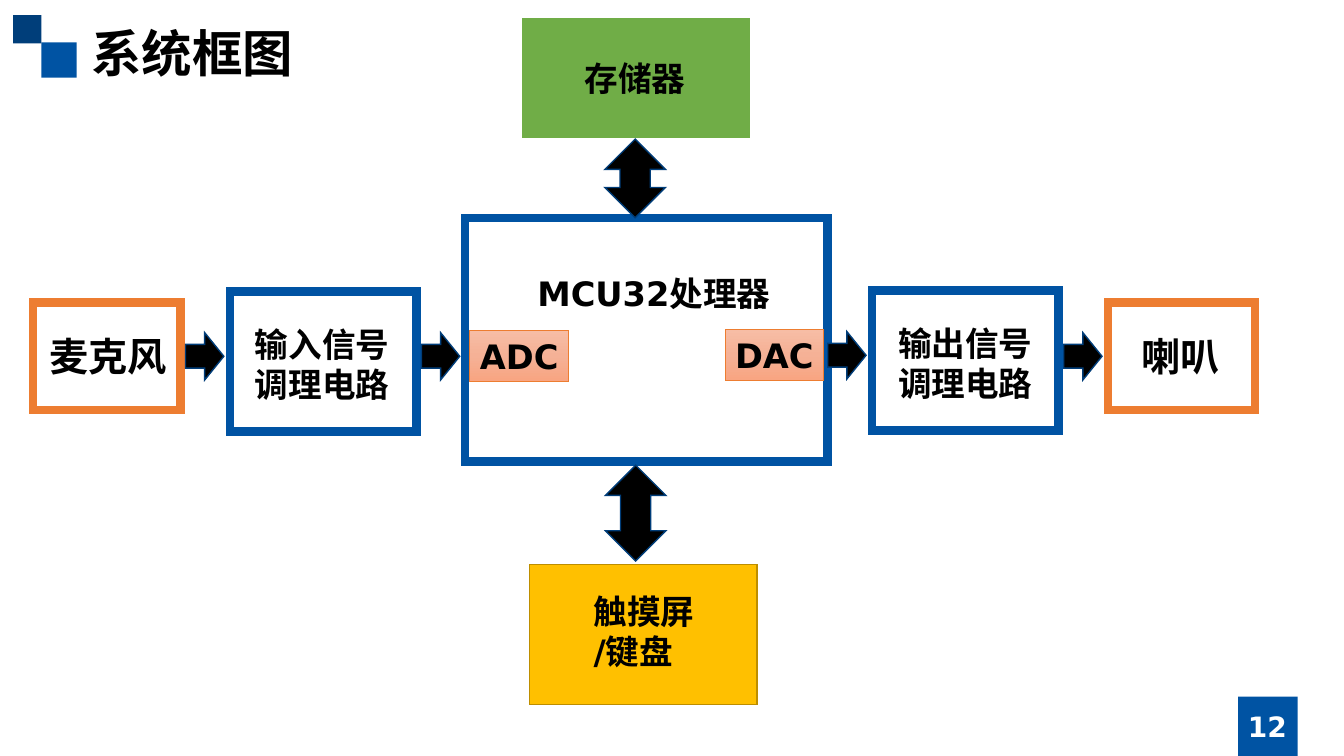
from copy import deepcopy

from lxml import etree
from pptx import Presentation
from pptx.dml.color import RGBColor
from pptx.enum.shapes import MSO_SHAPE
from pptx.enum.text import MSO_ANCHOR, PP_ALIGN
from pptx.oxml.ns import qn
from pptx.util import Inches, Pt

RECT = MSO_SHAPE.RECTANGLE
RIGHT = MSO_SHAPE.RIGHT_ARROW
DOUBLE = MSO_SHAPE.LEFT_RIGHT_ARROW
LEFT, CENTER = PP_ALIGN.LEFT, PP_ALIGN.CENTER
MIDDLE = MSO_ANCHOR.MIDDLE
LATIN, HAN = "DejaVu Sans", "Noto Sans CJK SC"
BLUE, NAVY, EDGE = "0053A3", "003E7A", "003D79"
ORANGE, BLACK, WHITE = "ED7D31", "000000", "FFFFFF"
PEACH = ["F7BDA5", "F5B196", "F8A582"]

deck = Presentation()
deck.slide_width, deck.slide_height = Inches(13.33), Inches(7.5)
slide = deck.slides.add_slide(deck.slide_layouts[6])
color = RGBColor.from_string


def draw(kind, spot, fill, line=None, width=1):
    shape = slide.shapes.add_shape(kind, *map(Inches, spot))
    shape.shadow.inherit = False
    shape.fill.solid()
    shape.fill.fore_color.rgb = color(fill)
    if line:
        shape.line.color.rgb = color(line)
        shape.line.width = Pt(width)
        # Square corners
        edge = shape.line._get_or_add_ln()
        etree.SubElement(edge, qn("a:miter")).set("lim", "800000")
    else:
        shape.line.fill.background()
    return shape


def write(shape, text, size=24, align=LEFT, ink=BLACK, font=LATIN, wrap=False):
    frame = shape.text_frame
    frame.word_wrap = wrap
    frame.text = text
    for para in frame.paragraphs:
        para.alignment = align
        for run in para.runs:
            run.font.size = Pt(size)
            run.font.bold = True
            run.font.name = font
            run.font.color.rgb = color(ink)
            east = etree.SubElement(run.font._element, qn("a:ea"))
            east.set("typeface", HAN)
    return frame


# Corner squares and page number block
draw(RECT, (0.41, 0.42, 0.35, 0.35), BLUE)
draw(RECT, (0.13, 0.15, 0.28, 0.28), NAVY)
draw(RECT, (12.28, 6.91, 0.59, 0.59), BLUE)

# Blocks: place, fill, line, line width
blocks = [
    ((0.33, 3, 1.46, 1.07), WHITE, ORANGE, 6),
    ((2.28, 2.89, 1.85, 1.39), WHITE, BLUE, 6),
    ((4.61, 2.16, 3.6, 2.42), WHITE, BLUE, 6),
    ((8.65, 2.88, 1.85, 1.39), WHITE, BLUE, 6),
    ((10.99, 3, 1.46, 1.07), WHITE, ORANGE, 6),
    ((5.17, 0.17, 2.28, 1.21), "70AD47", WHITE, 1.5),
    ((5.25, 5.6, 2.26, 1.39), "FFC000", "BD8E00", 1),
]
for block in blocks:
    draw(RECT, *block)

# Converters inside the processor
for name, left, top in [("ADC", 4.66, 3.28), ("DAC", 7.19, 3.27)]:
    chip = draw(RECT, (left, top, 0.98, 0.5), WHITE, ORANGE, 0.5)
    chip.fill.gradient()
    chip.fill.gradient_angle = 270
    first = chip.fill._xPr.find(".//" + qn("a:gs"))
    first.addnext(deepcopy(first))
    for i, stop in enumerate(chip.fill.gradient_stops):
        stop.position = i / 2
        stop.color.rgb = color(PEACH[i])
    write(chip, name, align=CENTER)

# Signal arrows from left to right
for left, top in [(1.84, 3.3), (4.18, 3.3), (8.21, 3.29), (10.55, 3.3)]:
    draw(RIGHT, (left, top, 0.38, 0.47), BLACK, EDGE)

# Two-way arrows above and below the processor
for spot in [(5.91, 1.47, 0.78, 0.6), (5.83, 4.79, 0.95, 0.6)]:
    draw(DOUBLE, spot, BLACK, EDGE).rotation = 270

# Labels: text, place, format
labels = [
    ("系统框图", (0.81, 0.17, 5.91, 0.71), dict(size=36, font=HAN, wrap=True)),
    ("麦克风", (0.39, 3.25, 1.37, 0.57), dict(size=28)),
    ("输入信号\n调理电路", (2.43, 3.16, 1.53, 0.91), {}),
    ("MCU32处理器", (5.08, 2.66, 2.81, 0.5), dict(align=CENTER, wrap=True)),
    ("输出信号\n调理电路", (8.81, 3.15, 1.53, 0.91), {}),
    ("喇叭", (11.22, 3.25, 0.98, 0.57), dict(size=28)),
    ("存储器", (5.7, 0.53, 1.21, 0.5), dict(wrap=True)),
    ("触摸屏\n/键盘", (5.79, 5.81, 1.2, 0.91), {}),
]
for text, spot, style in labels:
    write(slide.shapes.add_textbox(*map(Inches, spot)), text, **style)

# Page number
page = slide.shapes.add_textbox(*map(Inches, (11.81, 7.01, 1.52, 0.4)))
frame = write(page, "12", 20, CENTER, WHITE, wrap=True)
frame.vertical_anchor = MIDDLE

deck.save("out.pptx")
